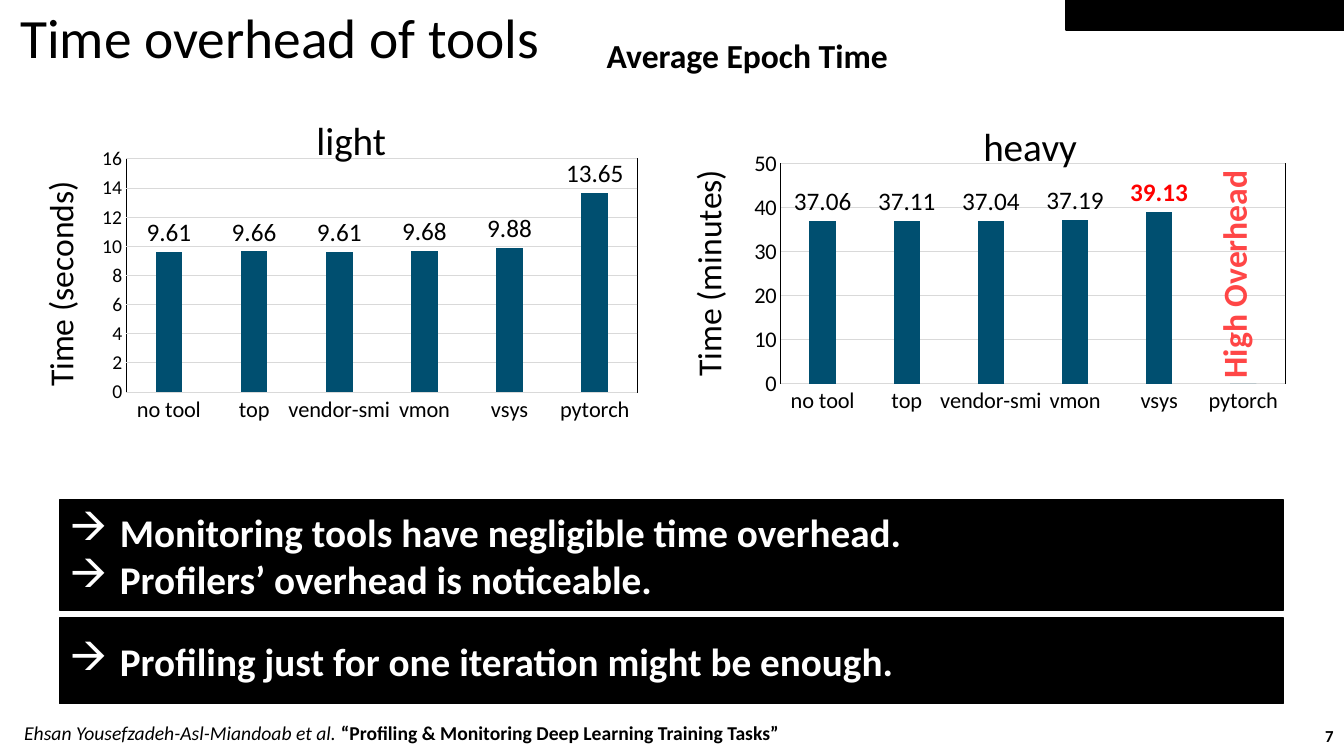
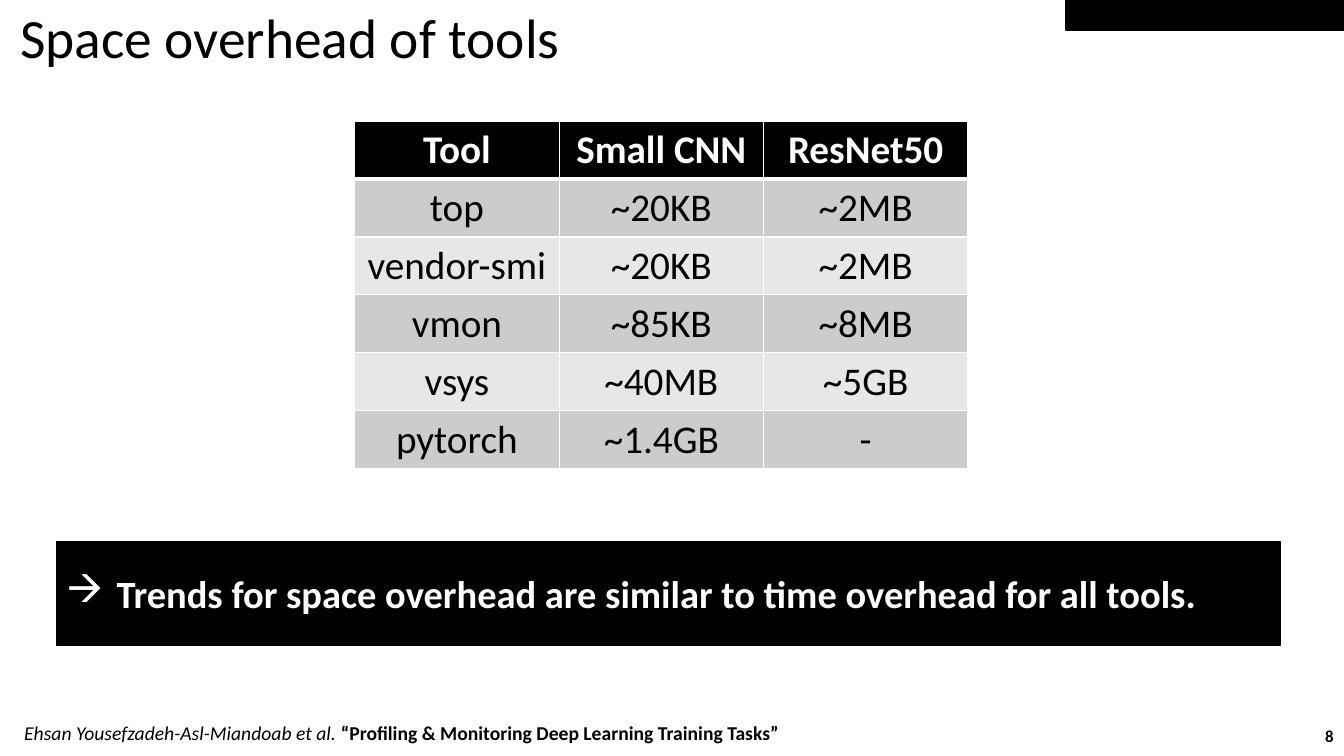
from dataclasses import dataclass

from lxml import etree
from pptx import Presentation
from pptx.chart.data import CategoryChartData
from pptx.dml.color import RGBColor
from pptx.enum.chart import XL_CHART_TYPE, XL_LABEL_POSITION, XL_TICK_MARK
from pptx.enum.shapes import MSO_SHAPE
from pptx.enum.text import MSO_ANCHOR, MSO_AUTO_SIZE, PP_ALIGN
from pptx.oxml.ns import qn
from pptx.util import Cm, Pt

COLUMN_CLUSTERED = XL_CHART_TYPE.COLUMN_CLUSTERED
OUTSIDE_END = XL_LABEL_POSITION.OUTSIDE_END
NO_TICK = XL_TICK_MARK.NONE
RECTANGLE = MSO_SHAPE.RECTANGLE
TOP, MIDDLE, BOTTOM = MSO_ANCHOR.TOP, MSO_ANCHOR.MIDDLE, MSO_ANCHOR.BOTTOM
NO_AUTOFIT = MSO_AUTO_SIZE.NONE
LEFT, CENTER, RIGHT = PP_ALIGN.LEFT, PP_ALIGN.CENTER, PP_ALIGN.RIGHT

TITLE_ONLY = 5
CITATION_AUTHORS = "Ehsan Yousefzadeh-Asl-Miandoab et al. "
CITATION_TITLE = "“Profiling & Monitoring Deep Learning Training Tasks”"
TOOLS = ["top", "vendor-smi", "vmon", "vsys", "pytorch"]


@dataclass(frozen=True)
class Theme:
    """Colours, fonts and type sizes of the deck."""

    font: str = "Calibri"
    bullet_font: str = "Wingdings"
    black: RGBColor = RGBColor(0x00, 0x00, 0x00)
    white: RGBColor = RGBColor(0xFF, 0xFF, 0xFF)
    bar: RGBColor = RGBColor(0x00, 0x4F, 0x70)
    grid: RGBColor = RGBColor(0xD9, 0xD9, 0xD9)
    alert: RGBColor = RGBColor(0xFF, 0x00, 0x00)
    warning: RGBColor = RGBColor(0xFF, 0x46, 0x46)
    row_dark: RGBColor = RGBColor(0xCC, 0xCC, 0xCC)
    row_light: RGBColor = RGBColor(0xE7, 0xE7, 0xE7)
    title: float = 39.6
    large: float = 28
    medium: float = 24
    value: float = 18
    category: float = 16
    footer: float = 14
    number: float = 12


def box(left, top, width, height):
    """Turn four centimetre values into lengths."""
    return Cm(left), Cm(top), Cm(width), Cm(height)


def add_solid_fill(parent, color):
    """Add a solid colour to a line element."""
    fill = etree.SubElement(parent, qn("a:solidFill"))
    etree.SubElement(fill, qn("a:srgbClr"), val=str(color))


def place_in_chart(element, x, y, width=None, height=None):
    """Give a chart part a manual layout in fractions of the chart."""
    layout = element.find(qn("c:layout"))
    if layout is None:
        layout = etree.Element(qn("c:layout"))
        element.insert(0, layout)
    manual = etree.SubElement(layout, qn("c:manualLayout"))
    settings = [("xMode", "edge"), ("yMode", "edge"), ("x", x), ("y", y)]
    if width is not None:
        settings.insert(0, ("layoutTarget", "inner"))
        settings += [("w", width), ("h", height)]
    for name, value in settings:
        etree.SubElement(manual, qn(f"c:{name}")).set("val", str(value))


class Deck:
    """Holds the style and the current slide, and adds elements to it."""

    def __init__(self, theme):
        """Start an empty widescreen presentation."""
        self.theme = theme
        self.slide = None
        self.presentation = Presentation()
        self.presentation.slide_width = Cm(33.87)
        self.presentation.slide_height = Cm(19.05)

    def style(self, font, size, color=None, bold=False, italic=False):
        """Apply the deck's typeface to a font."""
        font.name = self.theme.font
        font.size = Pt(size)
        font.bold = bold
        font.italic = italic
        font.color.rgb = self.theme.black if color is None else color

    def start_slide(self, title, number):
        """Add a slide with its band, title, citation and number."""
        layout = self.presentation.slide_layouts[TITLE_ONLY]
        self.slide = self.presentation.slides.add_slide(layout)
        self.rectangle(26.87, 0, 7, 0.76)
        self.title(title)
        self.citation()
        self.text(str(number), box(26.24, 18.03, 7.62, 1.02), self.theme.number,
                  anchor=MIDDLE, alignment=RIGHT)

    def title(self, text):
        """Fill and place the title placeholder."""
        shape = self.slide.shapes.title
        shape.left, shape.top, shape.width, shape.height = box(0, 0, 29.21, 1.83)
        frame = shape.text_frame
        frame.text = text
        frame.auto_size = NO_AUTOFIT
        frame.vertical_anchor = MIDDLE
        frame.margin_left = Cm(0.51)
        paragraph = frame.paragraphs[0]
        paragraph.alignment = LEFT
        self.style(paragraph.runs[0].font, self.theme.title)

    def text(self, text, position, size, color=None, anchor=TOP, alignment=LEFT, wrap=True):
        """Add a bold one-paragraph text box and return it."""
        shape = self.slide.shapes.add_textbox(*position)
        frame = shape.text_frame
        frame.text = text
        frame.word_wrap = wrap
        frame.vertical_anchor = anchor
        paragraph = frame.paragraphs[0]
        paragraph.alignment = alignment
        self.style(paragraph.runs[0].font, size, color, bold=True)
        return shape

    def citation(self):
        """Add the source line at the foot of the slide."""
        shape = self.text(CITATION_AUTHORS, box(0.36, 18.03, 28.89, 0.86), self.theme.footer)
        paragraph = shape.text_frame.paragraphs[0]
        self.style(paragraph.runs[0].font, self.theme.footer, italic=True)
        run = paragraph.add_run()
        run.text = CITATION_TITLE
        self.style(run.font, self.theme.footer, bold=True)

    def rectangle(self, left, top, width, height):
        """Add a black rectangle and return it."""
        shape = self.slide.shapes.add_shape(RECTANGLE, *box(left, top, width, height))
        shape.shadow.inherit = False
        shape.fill.solid()
        shape.fill.fore_color.rgb = self.theme.black
        shape.line.color.rgb = self.theme.black
        shape.line.width = Pt(1)
        return shape

    def takeaways(self, lines, left, top, height, size):
        """Add a black box of arrow-bulleted statements."""
        frame = self.rectangle(left, top, 30.84, height).text_frame
        frame.text = "\n".join(lines)
        frame.word_wrap = True
        frame.vertical_anchor = MIDDLE
        for paragraph in frame.paragraphs:
            paragraph.alignment = LEFT
            properties = paragraph._p.get_or_add_pPr()
            properties.set("marL", str(Cm(1.27)))
            properties.set("indent", str(Cm(-1.27)))
            etree.SubElement(properties, qn("a:buFont"), typeface=self.theme.bullet_font)
            etree.SubElement(properties, qn("a:buChar")).set("char", "à")
            self.style(paragraph.runs[0].font, size, self.theme.white, bold=True)

    def column_chart(self, title, unit, values, position, plot, title_at, unit_at,
                     maximum, step, tick_size):
        """Add a column chart of epoch times and return its series."""
        data = CategoryChartData()
        data.categories = ["no tool"] + TOOLS
        data.add_series("Series 1", values)
        chart = self.slide.shapes.add_chart(COLUMN_CLUSTERED, *position, data).chart
        self.style(chart.font, 10)
        chart.has_legend = False
        chart.has_title = True
        value_axis, category_axis = chart.value_axis, chart.category_axis
        value_axis.has_title = True
        for owner, text, size in ((chart.chart_title, title, self.theme.large),
                                  (value_axis.axis_title, unit, self.theme.medium)):
            owner.text_frame.text = text
            self.style(owner.text_frame.paragraphs[0].runs[0].font, size)

        value_axis.minimum_scale, value_axis.maximum_scale = 0, maximum
        value_axis.major_unit = step
        value_axis.format.line.fill.background()
        for axis, size in ((value_axis, tick_size), (category_axis, self.theme.category)):
            axis.major_tick_mark = axis.minor_tick_mark = NO_TICK
            self.style(axis.tick_labels.font, size)
        for line in (value_axis.major_gridlines.format.line, category_axis.format.line):
            line.color.rgb = self.theme.grid
            line.width = Pt(0.75)

        column_plot = chart.plots[0]
        column_plot.gap_width, column_plot.overlap = 219, -27
        column_plot.vary_by_categories = False
        series = column_plot.series[0]
        series.format.fill.solid()
        series.format.fill.fore_color.rgb = self.theme.bar
        labels = series.data_labels
        labels.show_value = True
        labels.position = OUTSIDE_END
        labels.number_format = "0.00;;;"
        labels.number_format_is_linked = False
        self.style(labels.font, self.theme.value)

        for query, layout in (("c:chart/c:title", title_at), (".//c:valAx/c:title", unit_at),
                              ("c:chart/c:plotArea", plot)):
            place_in_chart(chart.element.xpath(query)[0], *layout)
        plot_area = chart.element.xpath("c:chart/c:plotArea")[0]
        border = etree.SubElement(etree.SubElement(plot_area, qn("c:spPr")), qn("a:ln"))
        add_solid_fill(border, self.theme.black)
        return series

    def highlight_label(self, series, index):
        """Make one data label bold and red."""
        label = series.points[index].data_label
        self.style(label.font, self.theme.value, self.theme.alert, bold=True)
        label.position = OUTSIDE_END

    def cell_borders(self, cell, bottom):
        """Draw white borders around a table cell."""
        properties = cell._tc.get_or_add_tcPr()
        for side, width in (("L", 1), ("R", 1), ("T", 1), ("B", bottom)):
            line = etree.SubElement(properties, qn(f"a:ln{side}"), w=str(Pt(width)))
            add_solid_fill(line, self.theme.white)

    def table(self, rows, left, top, column_width, row_height):
        """Add a centred table with a black header and alternating rows."""
        columns = len(rows[0])
        position = box(left, top, column_width * columns, row_height * len(rows))
        table = self.slide.shapes.add_table(len(rows), columns, *position).table
        table.horz_banding = False
        for row_index, row in enumerate(rows):
            header = row_index == 0
            body_fill = self.theme.row_dark if row_index % 2 else self.theme.row_light
            for column_index, text in enumerate(row):
                cell = table.cell(row_index, column_index)
                cell.text = text
                self.cell_borders(cell, 3 if header else 1)
                cell.fill.solid()
                cell.fill.fore_color.rgb = self.theme.black if header else body_fill
                paragraph = cell.text_frame.paragraphs[0]
                paragraph.alignment = CENTER
                self.style(paragraph.runs[0].font, self.theme.large,
                           self.theme.white if header else self.theme.black, bold=header)


def time_slide(deck):
    """Build the slide on time overhead."""
    theme = deck.theme
    deck.start_slide("Time overhead of tools", 7)
    subtitle = deck.text("Average Epoch Time", box(15.04, 0.84, 9.58, 1.17),
                         theme.medium, anchor=BOTTOM)
    subtitle.text_frame.paragraphs[0].line_spacing = 0.8
    deck.column_chart(
        "light", "Time (seconds)", [9.61, 9.66, 9.61, 9.68, 9.88, 13.65],
        box(0.64, 2.69, 15.9, 10.13), plot=(0.16, 0.13, 0.81, 0.58),
        title_at=(0.45, 0), unit_at=(0.01, 0.17),
        maximum=16, step=2, tick_size=theme.footer)
    heavy = deck.column_chart(
        "heavy", "Time (minutes)", [37.06, 37.11, 37.04, 37.19, 39.13, 0],
        box(16.97, 2.84, 15.9, 9.91), plot=(0.17, 0.13, 0.8, 0.56),
        title_at=(0.48, 0), unit_at=(0.01, 0.13),
        maximum=50, step=10, tick_size=theme.category)
    deck.highlight_label(heavy, 4)
    note = deck.text("High Overhead", box(28.19, 6.25, 5.79, 1.27), theme.medium,
                     theme.warning, wrap=False)
    note.rotation = 270
    deck.takeaways(["Monitoring tools have negligible time overhead.",
                    "Profilers’ overhead is noticeable."], 1.5, 12.6, 2.77, theme.large)
    deck.takeaways(["Profiling just for one iteration might be enough."],
                   1.5, 15.57, 2.16, theme.large)


def space_slide(deck):
    """Build the slide on space overhead."""
    deck.start_slide("Space overhead of tools", 8)
    small = ["~20KB", "~20KB", "~85KB", "~40MB", "~1.4GB"]
    large = ["~2MB", "~2MB", "~8MB", "~5GB", "-"]
    rows = [("Tool", "Small CNN", "ResNet50"), *zip(TOOLS, small, large)]
    deck.table(rows, left=8.94, top=3.05, column_width=5.15, row_height=1.46)
    deck.takeaways(["Trends for space overhead are similar to time overhead for all tools."],
                   1.42, 13.64, 2.62, 27.5)


def main():
    """Build and save the deck."""
    deck = Deck(Theme())
    time_slide(deck)
    space_slide(deck)
    deck.presentation.save("out.pptx")


if __name__ == "__main__":
    main()
